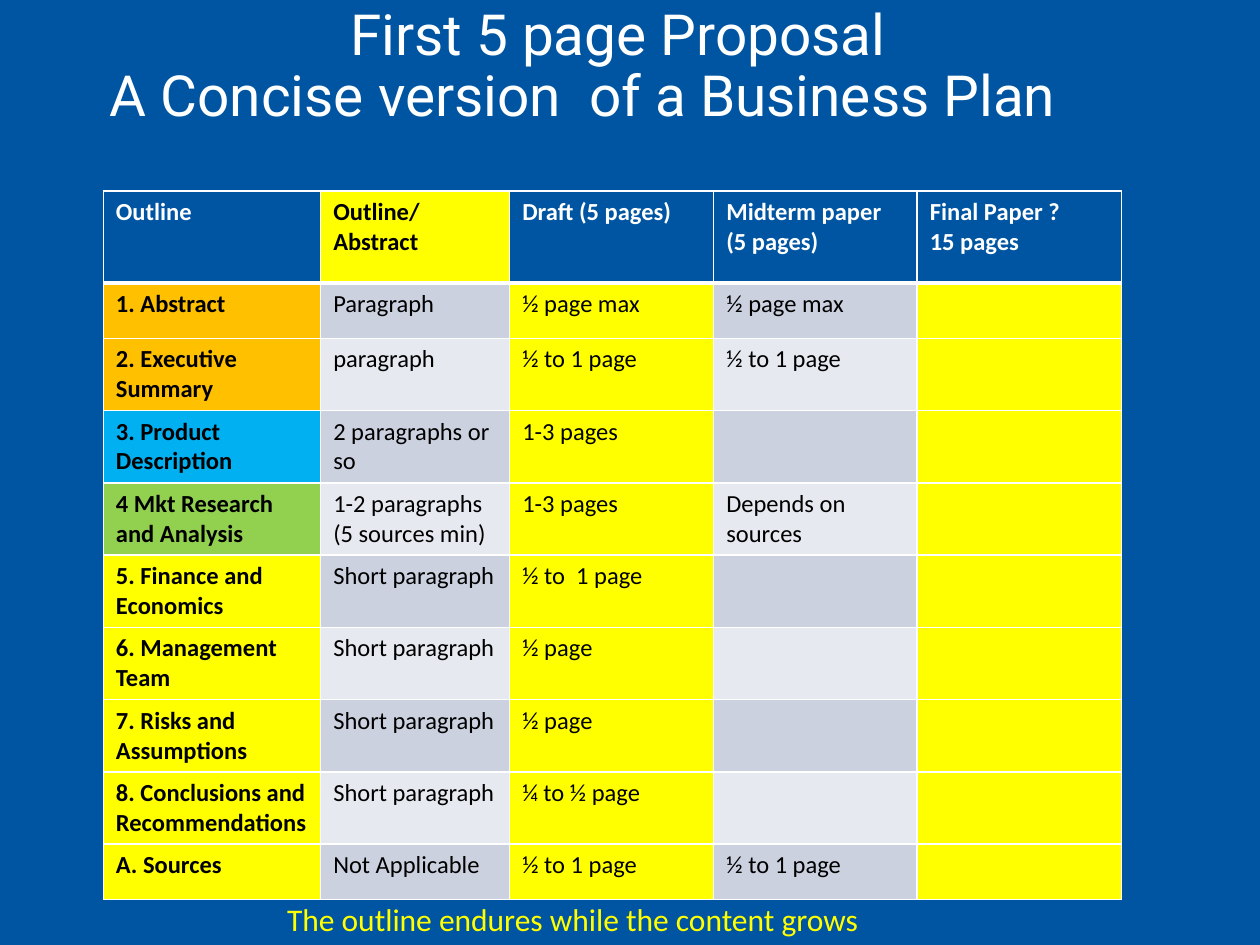
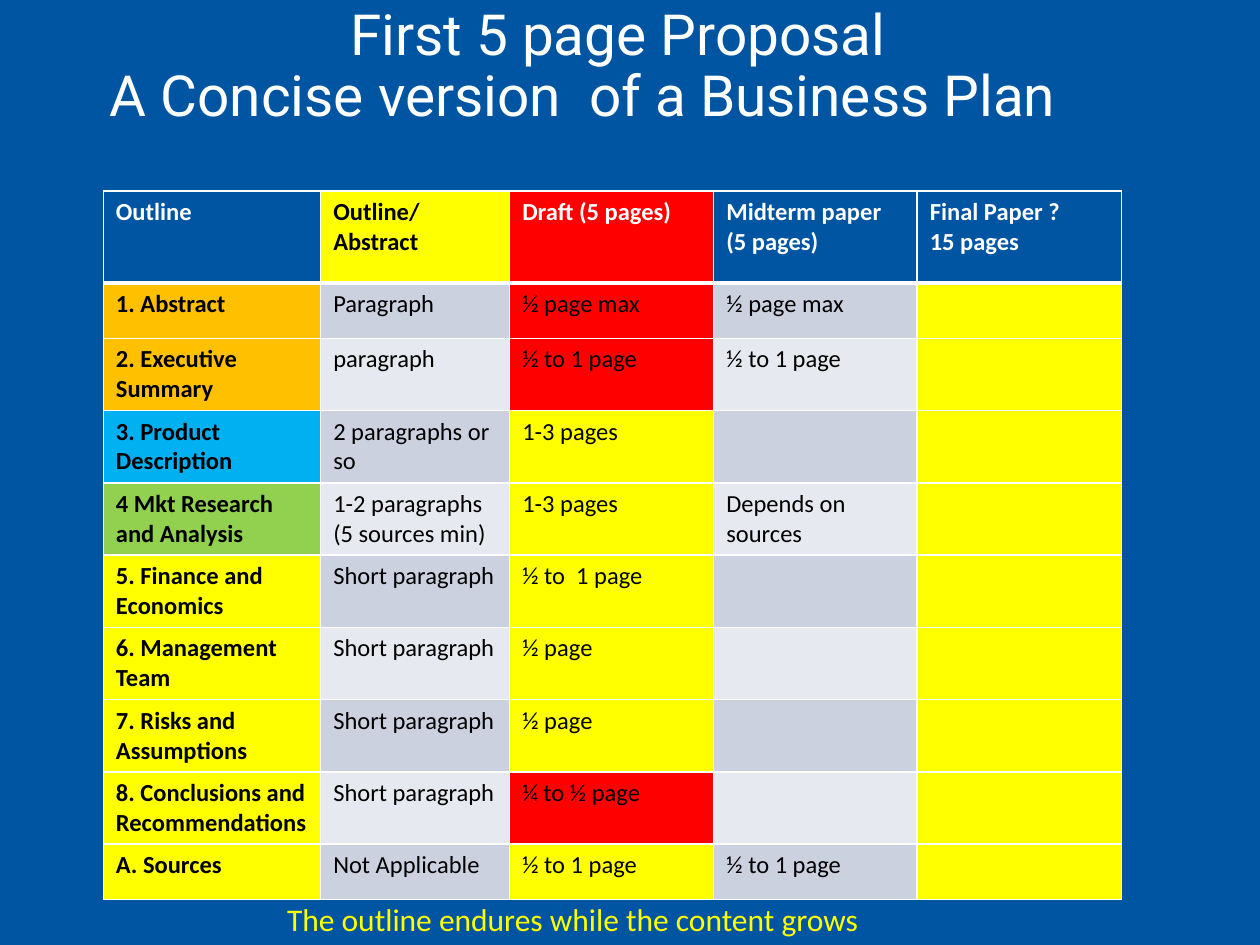
from lxml.etree import SubElement as Sub
from pptx import Presentation
from pptx.dml.color import RGBColor as RGB
from pptx.enum.text import MSO_ANCHOR as Anchor, PP_ALIGN as Align
from pptx.oxml.ns import qn
from pptx.util import Inches, Pt

BLUE = RGB(0x00, 0x55, 0xA2)
WHITE = RGB(0xFF, 0xFF, 0xFF)
BLACK = RGB(0x00, 0x00, 0x00)
GOLD = RGB(0xFF, 0xFF, 0x00)
RED = RGB(0xFF, 0x00, 0x00)
AMBER = RGB(0xFF, 0xC0, 0x00)
SKY = RGB(0x00, 0xB0, 0xF0)
GREEN = RGB(0x92, 0xD0, 0x50)
BANDS = (RGB(0xE7, 0xE9, 0xF0), RGB(0xCC, 0xD1, 0xE0))

HEAD = ("Outline", "Outline/ Abstract", "Draft (5 pages)",
        "Midterm paper (5 pages)", "Final Paper ?\n15 pages")
PARTS = (
    ("1. Abstract", "Paragraph", "½ page max", "½ page max", ""),
    ("2. Executive Summary", "paragraph", "½ to 1 page", "½ to 1 page", ""),
    ("3. Product Description", "2 paragraphs or so", "1-3 pages", "", ""),
    ("4 Mkt Research and Analysis", "1-2 paragraphs\n(5 sources min)",
     "1-3 pages", "Depends on sources", ""),
    ("5. Finance and Economics", "Short paragraph", "½ to  1 page", "", ""),
    ("6. Management Team", "Short paragraph", "½ page", "", ""),
    ("7. Risks and Assumptions", "Short paragraph", "½ page", "", ""),
    ("8. Conclusions and Recommendations", "Short paragraph",
     "¼ to ½ page", "", ""),
    ("A. Sources", "Not Applicable", "½ to 1 page", "½ to 1 page", ""),
)
TINTS = {1: AMBER, 2: AMBER, 3: SKY, 4: GREEN}
DRAFT = 2
WIDTHS = (17.25, 15, 16.2, 16.15, 16.2)
HEIGHTS = (7.3, 4.4, 4.4, 4.4, 4.7, 4.7, 4.4, 4.7, 4.4, 4.4)


class Deck:
    cols = 100
    face = "Calibri"

    def __init__(self):
        self.prs = Presentation()
        self.prs.slide_width = Inches(10)
        self.prs.slide_height = Inches(7.5)
        self.unit = self.prs.slide_width / self.cols
        fill = self.prs.slide_master.background.fill
        fill.solid()
        fill.fore_color.rgb = BLUE

    def span(self, *sizes):
        return [round(size * self.unit) for size in sizes]

    def page(self):
        self.slide = self.prs.slides.add_slide(self.prs.slide_layouts[5])

    def style(self, frame, size, color, bold=False, face=None):
        for para in frame.paragraphs:
            font = para.font
            font.name = face or self.face
            font.size = Pt(size)
            font.bold = bold
            font.color.rgb = color

    def title(self, text, box, shifts):
        shape = self.slide.shapes.title
        shape.left, shape.top, shape.width, shape.height = self.span(*box)
        frame = shape.text_frame
        frame.text = text
        frame.word_wrap = True
        frame.vertical_anchor = Anchor.MIDDLE
        frame.margin_top = frame.margin_bottom = 0
        for para, shift in zip(frame.paragraphs, self.span(*shifts)):
            props = para._p.get_or_add_pPr()
            props.set("marL", str(shift))
            props.set("indent", "0")
            para.alignment = Align.CENTER
            para.line_spacing = 0.9
            para.space_before = Pt(0)
        self.style(frame, 32.4, WHITE, face="Roboto")

    def edges(self, cell, row):
        props = cell._tc.get_or_add_tcPr()
        thick = {0: "lnB", 1: "lnT"}.get(row)
        for tag in ("lnL", "lnR", "lnT", "lnB"):
            width = Pt(3 if tag == thick else 1)
            line = Sub(props, qn("a:" + tag), w=str(width))
            solid = Sub(line, qn("a:solidFill"))
            Sub(solid, qn("a:srgbClr"), val=str(WHITE))

    def tint(self, row, col, reds):
        if col == DRAFT and row in reds:
            return RED
        if row == 0:
            return GOLD if col == 1 else BLUE
        if col == 0:
            return TINTS.get(row, GOLD)
        return BANDS[row % 2] if col in (1, 3) else GOLD

    def table(self, rows, box, reds):
        frame = self.slide.shapes.add_table(
            len(rows), len(rows[0]), *self.span(*box))
        grid = frame.table
        grid.first_row = grid.horz_banding = False
        for col, width in zip(grid.columns, self.span(*WIDTHS)):
            col.width = width
        for row, height in zip(grid.rows, self.span(*HEIGHTS)):
            row.height = height
        frame.height = self.span(box[3])[0]
        for r, texts in enumerate(rows):
            for c, text in enumerate(texts):
                cell = grid.cell(r, c)
                cell.text = text
                self.edges(cell, r)
                cell.fill.solid()
                cell.fill.fore_color.rgb = self.tint(r, c, reds)
                ink = WHITE if r == 0 and c != 1 else BLACK
                self.style(cell.text_frame, 14, ink, r == 0 or c == 0)

    def note(self, text, box):
        frame = self.slide.shapes.add_textbox(*self.span(*box)).text_frame
        frame.word_wrap = True
        frame.text = text
        self.style(frame, 18, GOLD)


def main():
    deck = Deck()
    for reds in ((), (0, 1, 2, 8)):
        deck.page()
        deck.title("First 5 page Proposal\n"
                   "A Concise version  of a Business Plan",
                   (6, 0.5, 80.5, 9.7), (5.6, 0))
        deck.table((HEAD,) + PARTS, (8.2, 15.15, 80.8, 55.8), reds)
        deck.note("The outline endures while the content grows",
                  (21.8, 70.95, 50, 4))
    deck.prs.save("out.pptx")


if __name__ == "__main__":
    main()
